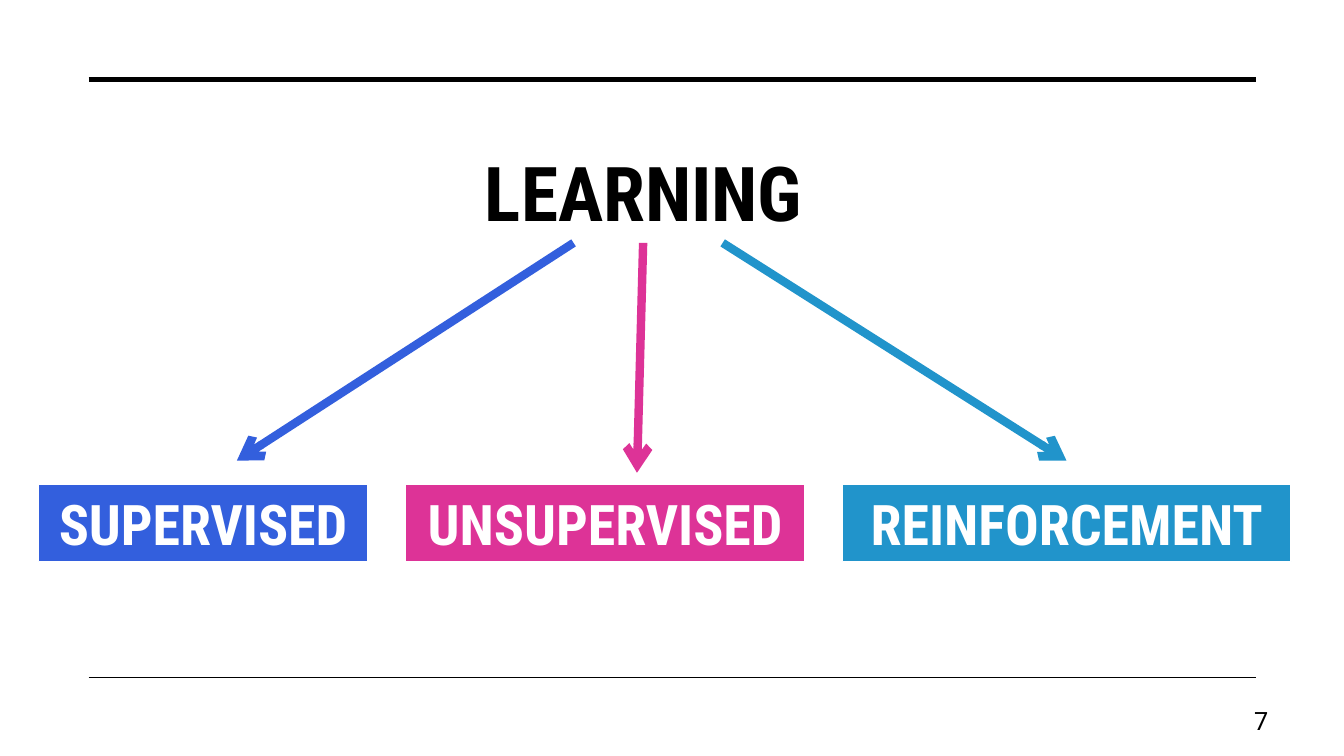
from dataclasses import dataclass

import pptx
import pptx.dml.color
import pptx.enum.shapes
import pptx.enum.text
import pptx.oxml.ns
import pptx.util
from lxml import etree

Pt = pptx.util.Pt
ALIGN = pptx.enum.text.PP_ALIGN
ANCHOR = pptx.enum.text.MSO_ANCHOR


@dataclass(frozen=True)
class Theme:
    black: str = "000000"
    white: str = "FFFFFF"
    blue: str = "335FDD"
    pink: str = "DD3397"
    cyan: str = "2194CB"
    heading_font: str = "Roboto Condensed"
    body_font: str = "Roboto"
    title_size: float = 54
    box_size: float = 40
    number_size: float = 18
    arrow_width: float = 6


def rgb(color):
    return pptx.dml.color.RGBColor.from_string(color)


class SlideBuilder:
    def __init__(self, slide, theme):
        self.s = slide
        self.theme = theme

    def set_text(self, sp, text, size, color, font, align, anchor, bold=False):
        tf = sp.text_frame
        tf.word_wrap = True
        tf.auto_size = pptx.enum.text.MSO_AUTO_SIZE.NONE
        tf.vertical_anchor = anchor
        tf.margin_left = tf.margin_right = Pt(7.2)
        tf.margin_top = tf.margin_bottom = Pt(3.6)
        p = tf.paragraphs[0]
        p.text = text
        p.alignment = align
        p.line_spacing = 1.0
        p.font.size = Pt(size)
        p.font.name = font
        p.font.bold = bold
        p.font.color.rgb = rgb(color)

    def title(self, text, left, top, width, height):
        sp = self.s.shapes.title
        sp.left, sp.top, sp.width, sp.height = map(Pt, (left, top, width, height))
        self.set_text(sp, text, self.theme.title_size, self.theme.black,
                      self.theme.heading_font, ALIGN.CENTER, ANCHOR.TOP, bold=True)

    def box(self, text, color, left, top, width, height):
        sp = self.s.shapes.add_shape(pptx.enum.shapes.MSO_SHAPE.RECTANGLE,
                                     Pt(left), Pt(top), Pt(width), Pt(height))
        sp.shadow.inherit = False
        sp.fill.solid()
        sp.fill.fore_color.rgb = rgb(color)
        sp.line.color.rgb = rgb(self.theme.white)
        sp.line.width = Pt(1)
        self.set_text(sp, text, self.theme.box_size, self.theme.white,
                      self.theme.heading_font, ALIGN.CENTER, ANCHOR.TOP, bold=True)

    def line(self, start, end, color, width):
        sp = self.s.shapes.add_connector(pptx.enum.shapes.MSO_CONNECTOR.STRAIGHT,
                                         *map(Pt, (*start, *end)))
        sp.line.color.rgb = rgb(color)
        sp.line.width = Pt(width)
        etree.SubElement(sp.element.spPr, pptx.oxml.ns.qn("a:effectLst"))
        return sp

    def arrow(self, start, end, color):
        sp = self.line(start, end, color, self.theme.arrow_width)
        ln = sp.element.spPr.find(pptx.oxml.ns.qn("a:ln"))
        etree.SubElement(ln, pptx.oxml.ns.qn("a:tailEnd"), type="arrow")

    def page_number(self, number, left, top, width, height):
        sp = self.s.shapes.add_textbox(Pt(left), Pt(top), Pt(width), Pt(height))
        self.set_text(sp, str(number), self.theme.number_size, self.theme.black,
                      self.theme.body_font, ALIGN.RIGHT, ANCHOR.MIDDLE)


def main():
    prs = pptx.Presentation()
    prs.slide_width, prs.slide_height = Pt(960), Pt(540)
    theme = Theme()
    slide = SlideBuilder(prs.slides.add_slide(prs.slide_layouts[5]), theme)

    for y, width in ((57, 3.5), (484, 1)):
        slide.line((63.4, y), (897, y), theme.black, width)
    slide.title("LEARNING", 287.3, 100.8, 345, 72.7)

    # text, color, box width, arrow start x, arrow end
    branches = [
        ("SUPERVISED", theme.blue, 235.4, 409.7, (169.2, 329)),
        ("UNSUPERVISED", theme.pink, 285.8, 459.4, (455, 337.7)),
        ("REINFORCEMENT", theme.cyan, 320.4, 516.2, (761.8, 329)),
    ]
    left, gap = 27.4, 26.6
    for text, color, width, start_x, end in branches:
        slide.arrow((start_x, 173.5), end, color)
        slide.box(text, color, left, 345.8, width, 55.4)
        left += width + gap

    slide.page_number(7, 859.7, 500.4, 53.3, 28.8)
    prs.save("out.pptx")


if __name__ == "__main__":
    main()
